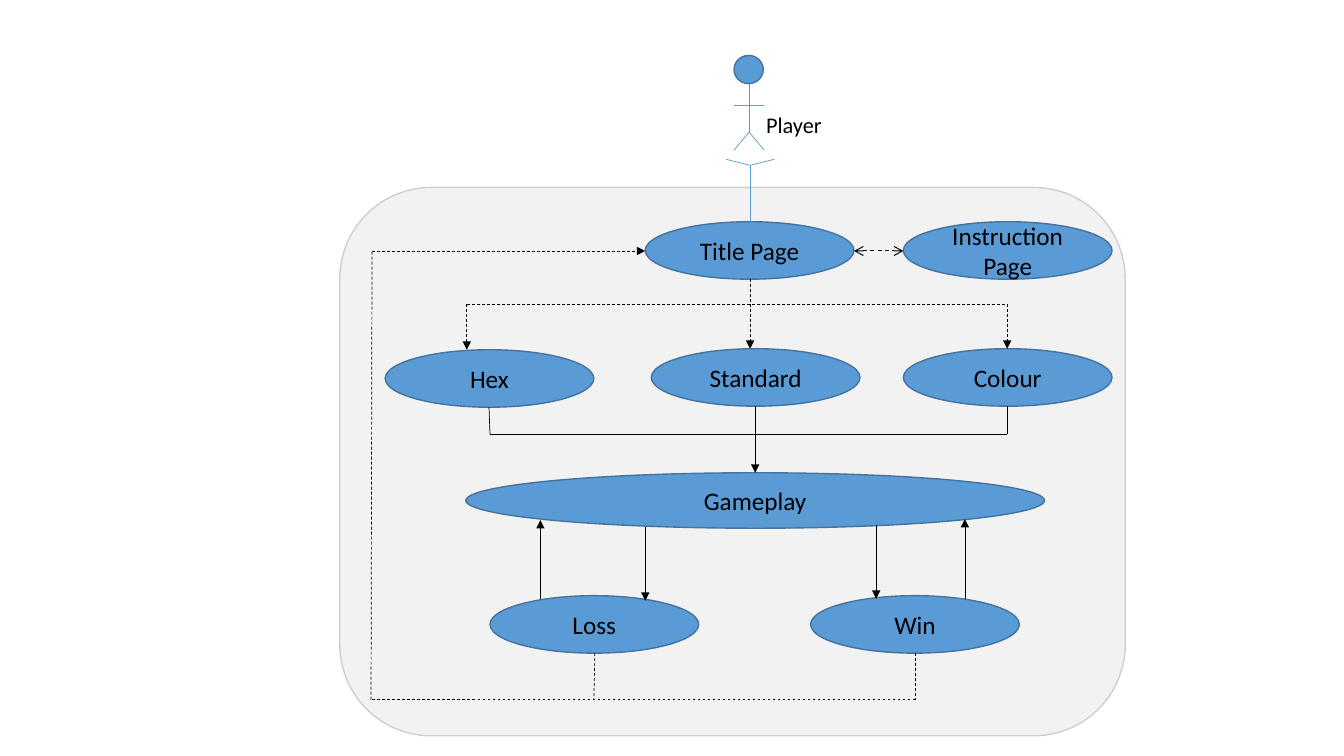
from itertools import pairwise

from lxml import etree
from pptx import Presentation
from pptx import util as u
from pptx.dml.color import RGBColor
from pptx.enum import dml, shapes, text
from pptx.oxml.ns import qn

COLORS = {"blue": "5B9BD5", "edge": "43739E", "panel": "F2F2F2", "border": "D0CECE", "ink": "000000"}
COLS, ROWS = 133.3, 75
NODE_W, NODE_H = 20.7, 5.7


def rgb(name):
    return RGBColor.from_string(COLORS[name])


class Diagram:
    font = {"name": "Calibri", "size": u.Pt(18)}
    frame = {"vertical_anchor": text.MSO_ANCHOR.MIDDLE, "word_wrap": True}

    def __init__(self, prs):
        self.cell_w, self.cell_h = prs.slide_width / COLS, prs.slide_height / ROWS
        self.s = prs.slides.add_slide(prs.slide_layouts[6])
        self.target = self.s.shapes

    def at(self, *grid):
        return [round(v * (self.cell_h if i % 2 else self.cell_w)) for i, v in enumerate(grid)]

    def style(self, obj, values):
        for key, value in values.items():
            setattr(obj, key, value)

    def fill_text(self, tf, words, frame, font, align):
        self.style(tf, frame)
        p = tf.paragraphs[0]
        p.alignment = align
        r = p.add_run()
        r.text = words
        self.style(r.font, font)
        r.font.color.rgb = rgb("ink")

    def shape(self, kind, box, fill="blue", edge="edge", words=None):
        sp = self.target.add_shape(kind, *self.at(*box))
        sp.shadow.inherit = False
        sp.fill.solid()
        sp.fill.fore_color.rgb = rgb(fill)
        sp.line.color.rgb = rgb(edge)
        sp.line.width = u.Pt(1)
        if words:
            self.fill_text(sp.text_frame, words, self.frame, self.font, text.PP_ALIGN.CENTER)

    def node(self, words, x, y, w=NODE_W, h=NODE_H):
        self.shape(shapes.MSO_SHAPE.OVAL, (x, y, w, h), words=words)

    def label(self, words, box):
        tf = self.s.shapes.add_textbox(*self.at(*box)).text_frame
        self.fill_text(tf, words, {"word_wrap": False, "auto_size": text.MSO_AUTO_SIZE.SHAPE_TO_FIT_TEXT},
                       self.font | {"size": u.Pt(16)}, text.PP_ALIGN.LEFT)

    def route(self, *points, color="ink", width=0.5, dash=False, head=None, tail=None):
        legs = list(pairwise(points))
        for i, (start, end) in enumerate(legs):
            c = self.target.add_connector(shapes.MSO_CONNECTOR.STRAIGHT, *self.at(*start, *end))
            c.line.color.rgb = rgb(color)
            c.line.width = u.Pt(width)
            if dash:
                c.line.dash_style = dml.MSO_LINE.DASH
            sp_pr = c._element.spPr
            ln = sp_pr.find(qn("a:ln"))
            for tag, kind, shown in (("a:headEnd", head, i == 0), ("a:tailEnd", tail, i == len(legs) - 1)):
                if kind and shown:
                    etree.SubElement(ln, qn(tag), type=kind)
            etree.SubElement(sp_pr, qn("a:effectLst"))

    def player(self, x, top):
        self.target = self.s.shapes.add_group_shape().shapes
        self.shape(shapes.MSO_SHAPE.OVAL, (x - 1.5, top, 2.9, 2.8))
        hip = (x, top + 7.6)
        self.route((x, top + 2.8), hip, color="blue")
        self.route((x - 1.5, top + 5), (x + 1.5, top + 5), color="blue")
        for side in (-1.5, 1.5):
            self.route(hip, (x + side, top + 9.4), color="blue")
        self.target = self.s.shapes


prs = Presentation()
prs.slide_width, prs.slide_height = u.Inches(13.33), u.Inches(7.5)
d = Diagram(prs)

d.shape(shapes.MSO_SHAPE.ROUNDED_RECTANGLE, (33.7, 18.6, 77.9, 54.4), "panel", "border")

for words, x, y in (
    ("Title Page", 64, 22), ("Instruction Page", 89.6, 22),
    ("Hex", 38.2, 34.7), ("Standard", 64.6, 34.6), ("Colour", 89.6, 34.6),
    ("Loss", 48.6, 59.1), ("Win", 80.4, 59.1),
):
    d.node(words, x, y)
d.node("Gameplay", 46.2, 46.9, 57.4, 5.5)

title_x, title_y, colour_x, fork_y, join_y = 74.4, 24.9, 99.9, 30.2, 43.1
d.route((84.7, title_y), (89.6, title_y), width=0.75, dash=True, head="arrow", tail="arrow")

d.route((46.3, fork_y), (colour_x, fork_y), dash=True)
for x, start, end in ((46.3, fork_y, 34.7), (title_x, 27.7, 34.6), (colour_x, fork_y, 34.6)):
    d.route((x, start), (x, end), dash=True, tail="triangle")

d.route((48.5, 40.4), (48.6, join_y), (colour_x, join_y), (colour_x, 40.3))

for x, start, end in ((74.9, 40.3, 46.9), (86.9, 52.1, 59.4), (64, 52.3, 59.6),
                      (53.6, 59.4, 51.6), (95.7, 59.4, 51.5)):
    d.route((x, start), (x, end), tail="triangle")

return_y = 69.4
d.route((90.8, 64.8), (90.8, return_y), (36.8, return_y), (36.9, title_y), (64, title_y),
        dash=True, tail="triangle")
d.route((59, 64.8), (58.9, return_y), dash=True)

d.player(74.3, 5.5)
d.route((title_x, 16.4), (title_x, 22), color="blue")
for side in (-2.4, 2.4):
    d.route((title_x, 16.4), (title_x + side, 15.8), color="blue")
d.label("Player", (75, 10.5, 7.6, 3.7))

prs.save("out.pptx")
